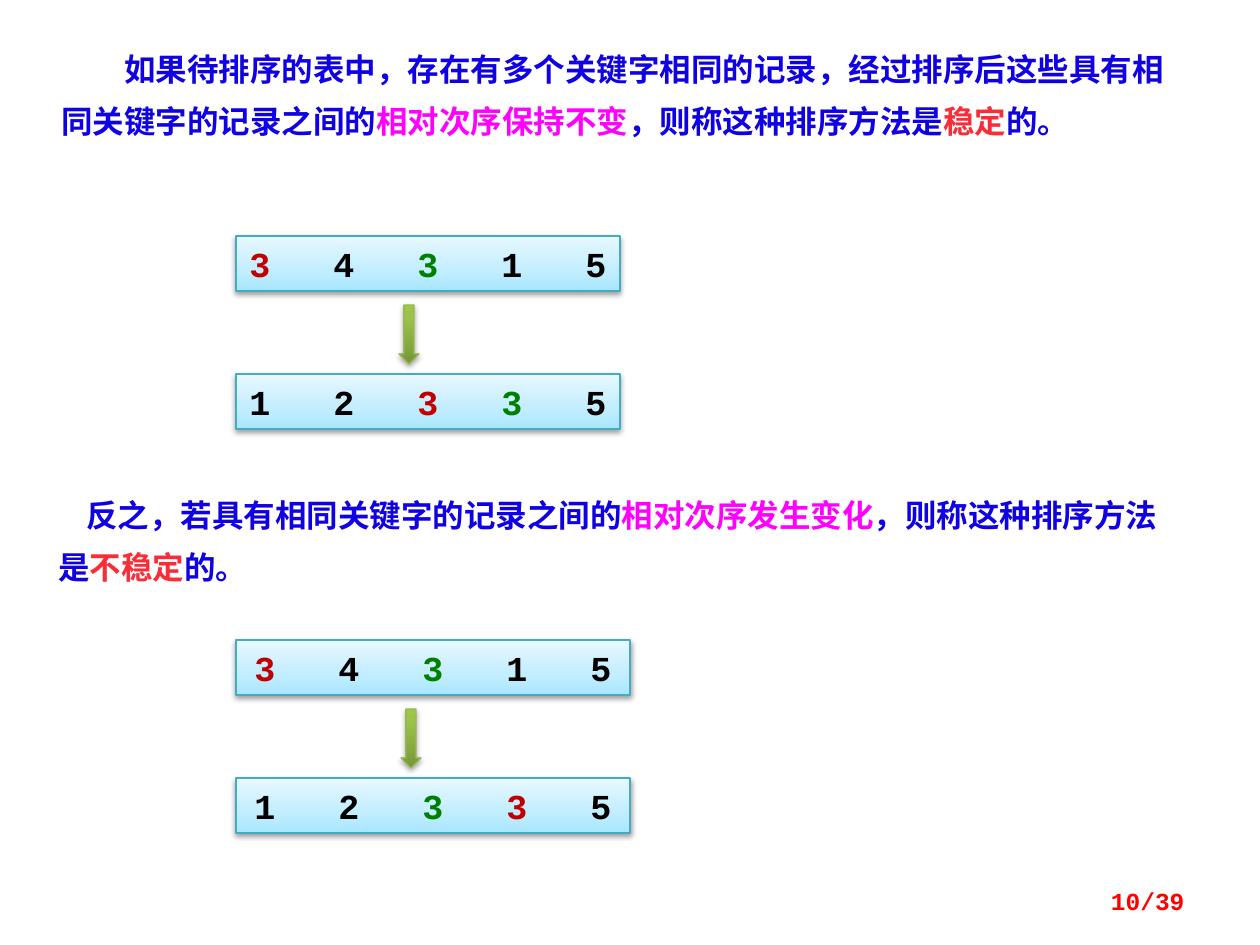
from lxml import etree
from pptx import Presentation
from pptx.dml.color import RGBColor
from pptx.enum.shapes import MSO_SHAPE
from pptx.enum.text import MSO_ANCHOR, PP_ALIGN
from pptx.oxml.ns import qn
from pptx.util import Emu, Pt

RECTANGLE, DOWN_ARROW = MSO_SHAPE.RECTANGLE, MSO_SHAPE.DOWN_ARROW
TOP, MIDDLE = MSO_ANCHOR.TOP, MSO_ANCHOR.MIDDLE
LEFT, RIGHT = PP_ALIGN.LEFT, PP_ALIGN.RIGHT

BLUE = RGBColor(0x10, 0x00, 0xE4)
MAGENTA = RGBColor(0xFF, 0x00, 0xFF)
CORAL = RGBColor(0xF9, 0x2D, 0x37)
DARK_RED = RGBColor(0xC0, 0x00, 0x00)
GREEN = RGBColor(0x00, 0x80, 0x00)
BLACK = RGBColor(0x00, 0x00, 0x00)
RED = RGBColor(0xFF, 0x00, 0x00)
LIST_LINE = RGBColor(0x46, 0xAA, 0xC5)
ARROW_LINE = RGBColor(0x98, 0xB9, 0x55)
LIST_STOPS = [
    (0, RGBColor(0xA7, 0xE6, 0xFF)),
    (35, RGBColor(0xC1, 0xED, 0xFF)),
    (100, RGBColor(0xE7, 0xF8, 0xFF)),
]
ARROW_STOPS = [
    (0, RGBColor(0x77, 0x97, 0x37)),
    (80, RGBColor(0x9B, 0xC3, 0x48)),
    (100, RGBColor(0x9D, 0xC7, 0x46)),
]
LATIN_FONT, CJK_FONT = "Courier New", "Noto Sans CJK JP"

# Box in px, first-line indent in px, runs
DEFINITIONS = [
    ((49, 29, 1155, 115), 63, [
        ("如果待排序的表中，存在有多个关键字相同的记录，经过排序后这些具有相同关键字的记录之间的", BLUE),
        ("相对次序保持不变", MAGENTA),
        ("，则称这种排序方法是", BLUE),
        ("稳定", CORAL),
        ("的。", BLUE),
    ]),
    ((46, 475, 1155, 117), 28, [
        ("反之，若具有相同关键字的记录之间的", BLUE),
        ("相对次序发生变化", MAGENTA),
        ("，则称这种排序方法是", BLUE),
        ("不稳定", CORAL),
        ("的。", BLUE),
    ]),
]
UNSORTED = [("3", DARK_RED), ("4", BLACK), ("3", GREEN), ("1", BLACK), ("5", BLACK)]
STABLE = [("1", BLACK), ("2", BLACK), ("3", DARK_RED), ("3", GREEN), ("5", BLACK)]
UNSTABLE = [("1", BLACK), ("2", BLACK), ("3", GREEN), ("3", DARK_RED), ("5", BLACK)]
# Top, list width, arrow left in px, lists before and after sorting
EXAMPLES = [
    (236, 384, 399, UNSORTED, STABLE),
    (640, 394, 401, UNSORTED, UNSTABLE),
]
PAGE_NUMBER = "10/39"

LIST_LEFT, LIST_HEIGHT, LIST_STEP = 236, 55, 138
ARROW_DROP, ARROW_WIDTH, ARROW_HEIGHT = 69, 20, 59
DIGIT_WIDTH, DIGIT_PITCH = 21, 84


def px(count):
    return Emu(round(count * 914400 / 126))


def add_run(paragraph, text, size, color):
    run = paragraph.add_run()
    run.text = text
    font = run.font
    font.name, font.size, font.bold = LATIN_FONT, Pt(size), True
    font.color.rgb = color
    etree.SubElement(run._r.get_or_add_rPr(), qn("a:ea"), typeface=CJK_FONT)


def add_text_box(slide, box, anchor):
    frame = slide.shapes.add_textbox(*map(px, box)).text_frame
    frame.word_wrap = True
    frame.vertical_anchor = anchor
    return frame.paragraphs[0]


def add_raised_shape(group, kind, box, stops, line_color, shadow_opacity):
    """Add a shape with a bottom-to-top gradient and a soft shadow below it."""
    shape = group.shapes.add_shape(kind, *map(px, box))
    shape.line.color.rgb = line_color
    shape.line.width = Pt(0.75)
    shape.fill.gradient()
    shape.fill.gradient_angle = 90
    properties = shape._element.spPr
    stop_list = properties.find(qn("a:gradFill")).find(qn("a:gsLst"))
    for old_stop in list(stop_list):
        stop_list.remove(old_stop)
    for position, color in stops:
        stop = etree.SubElement(stop_list, qn("a:gs"), pos=str(position * 1000))
        etree.SubElement(stop, qn("a:srgbClr"), val=str(color))
    shape.shadow.inherit = False
    shadow = etree.SubElement(
        properties.find(qn("a:effectLst")), qn("a:outerShdw"),
        blurRad=str(Pt(3.1)), dist=str(Pt(1.7)), dir="5400000", rotWithShape="0")
    shade = etree.SubElement(shadow, qn("a:srgbClr"), val=str(BLACK))
    etree.SubElement(shade, qn("a:alpha"), val=str(shadow_opacity * 1000))
    return shape


def add_number_list(group, top, width, numbers):
    """Add a box whose numbers stand on equal tab stops, centred as a whole."""
    box = (LIST_LEFT, top, width, LIST_HEIGHT)
    frame = add_raised_shape(group, RECTANGLE, box, LIST_STOPS, LIST_LINE, 38).text_frame
    frame.word_wrap = True
    frame.vertical_anchor = TOP
    row_width = DIGIT_PITCH * (len(numbers) - 1) + DIGIT_WIDTH
    frame.margin_left = px((width - row_width) / 2)
    frame.margin_right = 0
    paragraph = frame.paragraphs[0]
    paragraph.alignment = LEFT
    tabs = etree.SubElement(paragraph._p.get_or_add_pPr(), qn("a:tabLst"))
    for index, (number, color) in enumerate(numbers):
        if index:
            etree.SubElement(tabs, qn("a:tab"), pos=str(px(index * DIGIT_PITCH)), algn="l")
        add_run(paragraph, "\t" + number if index else number, 20, color)


def main():
    presentation = Presentation()
    presentation.slide_width, presentation.slide_height = px(1260), px(945)
    slide = presentation.slides.add_slide(presentation.slide_layouts[6])

    for box, indent, runs in DEFINITIONS:
        paragraph = add_text_box(slide, box, TOP)
        paragraph.line_spacing = Pt(30)
        paragraph._p.get_or_add_pPr().set("indent", str(px(indent)))
        for text, color in runs:
            add_run(paragraph, text, 18, color)

    for top, width, arrow_left, before, after in EXAMPLES:
        group = slide.shapes.add_group_shape()
        add_number_list(group, top, width, before)
        add_number_list(group, top + LIST_STEP, width, after)
        arrow_box = (arrow_left, top + ARROW_DROP, ARROW_WIDTH, ARROW_HEIGHT)
        add_raised_shape(group, DOWN_ARROW, arrow_box, ARROW_STOPS, ARROW_LINE, 35)

    paragraph = add_text_box(slide, (903, 876, 294, 50), MIDDLE)
    paragraph.alignment = RIGHT
    add_run(paragraph, PAGE_NUMBER, 14, RED)

    presentation.save("out.pptx")


if __name__ == "__main__":
    main()
